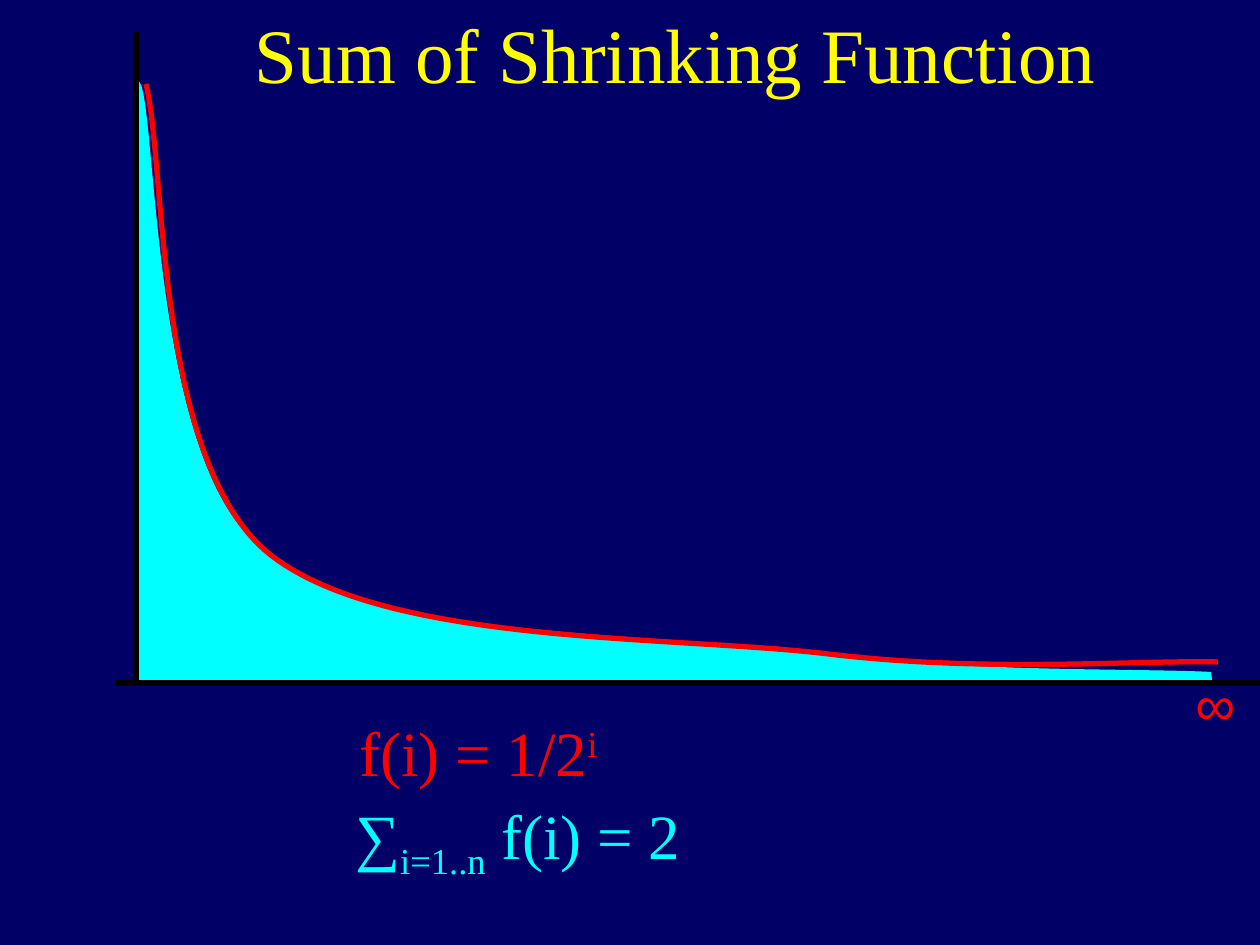
from lxml import etree
from pptx import Presentation
from pptx.dml.color import RGBColor
from pptx.enum.shapes import MSO_CONNECTOR
from pptx.enum.text import MSO_ANCHOR, MSO_AUTO_SIZE, PP_ALIGN
from pptx.oxml.ns import qn
from pptx.util import Pt

EMU_PER_PX = 914400 / 126
STRAIGHT = MSO_CONNECTOR.STRAIGHT
TOP = MSO_ANCHOR.TOP
GROW = MSO_AUTO_SIZE.SHAPE_TO_FIT_TEXT
LEFT, RIGHT = PP_ALIGN.LEFT, PP_ALIGN.RIGHT
SERIF, SANS = "Times New Roman", "Arial"
COLORS = {
    "background": "000066",
    "title": "FFFF00",
    "curve": "FF0000",
    "area": "00FFFF",
    "axis": "000000",
}
LINE_WIDTH = 3

AREA_START = (260, 546)
AREA_SEGMENTS = [
    [(369, 641), (639, 631), (798, 651)],
    [(956, 673), (1142, 668), (1211, 672)],
    [(1212, 680)],
    [(136, 680)],
    [(136, 82)],
    [(158, 59), (144, 457), (260, 546)],
]
CURVE_START = (146, 84)
CURVE_SEGMENTS = [
    [(166, 163), (154, 456), (267, 552)],
    [(381, 646), (669, 635), (828, 654)],
    [(985, 673), (1137, 660), (1218, 662)],
]
AXES = [(136, 32, 136, 683), (116, 683, 1260, 683)]


def px(n):
    return round(n * EMU_PER_PX)


def color(name):
    return RGBColor.from_string(COLORS[name])


def add_curved_shape(slide, start, segments, closed=False):
    points = [(px(x), px(y)) for seg in segments for x, y in seg]
    builder = slide.shapes.build_freeform(px(start[0]), px(start[1]))
    builder.add_line_segments(points, close=closed)
    sp = builder.convert_to_shape()
    sp.shadow.inherit = False
    steps = iter(list(sp._element.iter(qn("a:lnTo"))))
    for seg in segments:
        group = [next(steps) for _ in seg]
        if len(group) == 3:
            bezier = etree.Element(qn("a:cubicBezTo"))
            group[0].addprevious(bezier)
            for step in group:
                bezier.append(step[0])
                step.getparent().remove(step)
    return sp


def add_area(slide):
    sp = add_curved_shape(slide, AREA_START, AREA_SEGMENTS, closed=True)
    sp.fill.solid()
    sp.fill.fore_color.rgb = color("area")
    sp.line.fill.background()


def add_curve(slide):
    sp = add_curved_shape(slide, CURVE_START, CURVE_SEGMENTS)
    sp.fill.background()
    sp.line.color.rgb = color("curve")
    sp.line.width = Pt(LINE_WIDTH)


def add_axis(slide, ends):
    line = slide.shapes.add_connector(STRAIGHT, *map(px, ends))
    line.line.color.rgb = color("axis")
    line.line.width = Pt(LINE_WIDTH)
    etree.SubElement(line._element.spPr, qn("a:effectLst"))


def write_text(sp, runs, size, font, color_name, align=LEFT):
    tf = sp.text_frame
    tf.word_wrap = False
    tf.auto_size = GROW
    tf.vertical_anchor = TOP
    p = tf.paragraphs[0]
    p.alignment = align
    for text, baseline in runs:
        r = p.add_run()
        r.text = text
        r.font.size = Pt(size)
        r.font.name = font
        r.font.color.rgb = color(color_name)
        if baseline:
            r.font._element.set("baseline", str(baseline * 1000))


def add_label(slide, box, runs, size, font, color_name):
    sp = slide.shapes.add_textbox(*map(px, box))
    write_text(sp, runs, size, font, color_name)


def set_title(slide, box, text):
    sp = slide.shapes.title
    sp.left, sp.top, sp.width, sp.height = map(px, box)
    write_text(sp, [(text, 0)], 44, SERIF, "title", RIGHT)


def main():
    prs = Presentation()
    prs.slide_width, prs.slide_height = px(1260), px(945)
    slide = prs.slides.add_slide(prs.slide_layouts[5])
    slide.background.fill.solid()
    slide.background.fill.fore_color.rgb = color("background")

    add_area(slide)
    add_curve(slide)
    for ends in AXES:
        add_axis(slide, ends)
    add_label(slide, (347, 707, 263, 88),
              [("f(i) = 1/2", 0), ("i", 30)], 36, SERIF, "curve")
    add_label(slide, (343, 790, 350, 100),
              [("∑", 0), ("i=1..n", -25), (" f(i) = 2", 0)], 36, SERIF, "area")
    add_label(slide, (1183, 663, 67, 81), [("∞", 0)], 32, SANS, "curve")
    set_title(slide, (242, 0, 867, 106), "Sum of Shrinking Function")
    prs.save("out.pptx")


if __name__ == "__main__":
    main()
